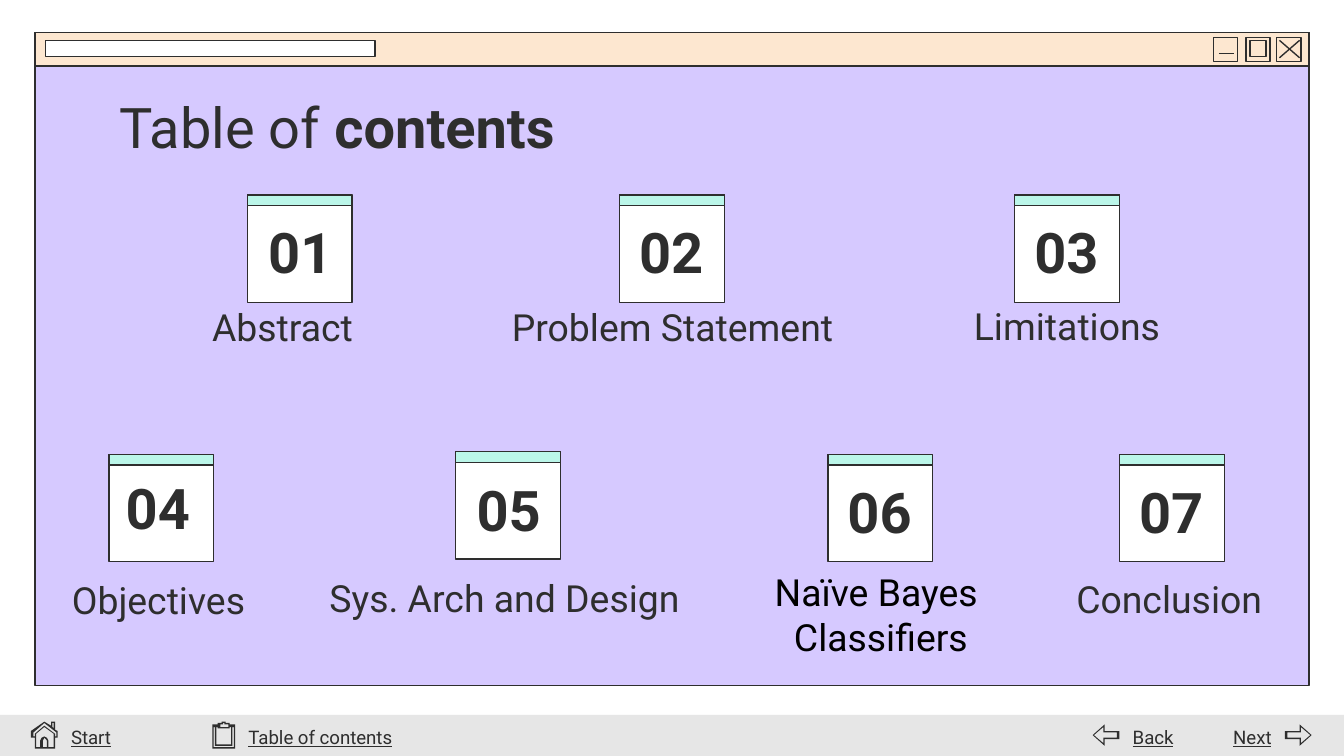
import pptx
import pptx.dml.color
import pptx.enum.shapes
import pptx.enum.text
import pptx.oxml
import pptx.util

Inches = pptx.util.Inches
Pt = pptx.util.Pt
LEFT, CENTER, RIGHT = (
    pptx.enum.text.PP_ALIGN.LEFT,
    pptx.enum.text.PP_ALIGN.CENTER,
    pptx.enum.text.PP_ALIGN.RIGHT,
)
TOP, BOTTOM = pptx.enum.text.MSO_ANCHOR.TOP, pptx.enum.text.MSO_ANCHOR.BOTTOM

SLIDE_WIDTH = 10
SLIDE_HEIGHT = SLIDE_WIDTH * 9 / 16

COLORS = {
    "ink": "2E2E2E", "black": "000000", "white": "FFFFFF", "lilac": "D6C9FF",
    "peach": "FDE7D0", "mint": "BBF6E9", "gray": "E6E6E6",
}
FONT = "Roboto"
FRAME_FORMAT = {
    "word_wrap": True,
    "auto_size": pptx.enum.text.MSO_AUTO_SIZE.NONE,
    "margin_left": Inches(0.1), "margin_right": Inches(0.1),
    "margin_top": Inches(0.1), "margin_bottom": Inches(0.1),
}

TITLE_BOX = (0.79, 0.59, 8.43, 0.69)
TITLE_RUNS = [("Table of ", False), ("contents", True)]

# Box (left, top, width, height), fill
WINDOW_PARTS = [
    ((0.26, 0.24, 9.48, 4.86), "lilac"),
    ((0.26, 0.24, 9.48, 0.25), "peach"),
    ((0.34, 0.3, 2.45, 0.12), "white"),
]
BUTTON_BOXES = [(left, 0.28, 0.18, 0.18) for left in (9.03, 9.27, 9.5)]
MAXIMIZE_BOX = (9.3, 0.3, 0.12, 0.12)
BUTTON_STROKES = [
    (9.07, 0.4, 9.18, 0.4),
    (9.52, 0.3, 9.67, 0.43),
    (9.52, 0.43, 9.67, 0.3),
]

CARD_SIZE = (0.78, 0.8)
BAND_HEIGHT = 0.08
NUMBER_SIZE = (0.93, 0.72)
# Number, card corner, number corner, label lines, label box, alignment, color
CARDS = [
    ("01", (1.84, 1.45), (1.77, 1.52), ["Abstract"],
     (1.48, 2.22, 1.54, 0.48), LEFT, "ink"),
    ("02", (4.61, 1.45), (4.53, 1.52), ["Problem Statement"],
     (3.51, 2.22, 2.99, 0.48), CENTER, "ink"),
    ("03", (7.55, 1.45), (7.47, 1.52), ["Limitations"],
     (6.66, 2.21, 2.56, 0.48), CENTER, "ink"),
    ("04", (0.81, 3.38), (0.71, 3.42), ["Objectives"],
     (-0.1, 4.25, 2.56, 0.48), CENTER, "ink"),
    ("05", (3.39, 3.36), (3.32, 3.44), ["Sys. Arch and Design"],
     (2.26, 4.23, 2.99, 0.48), CENTER, "ink"),
    ("06", (6.16, 3.38), (6.08, 3.45), ["Naïve Bayes ", "Classifiers"],
     (5.17, 4.31, 2.77, 0.69), CENTER, "black"),
    ("07", (8.33, 3.38), (8.25, 3.45), ["Conclusion"],
     (7.91, 4.24, 1.76, 0.48), LEFT, "ink"),
]

FOOTER_TOP = 5.32
FOOTER_BOX = (0, FOOTER_TOP, SLIDE_WIDTH, SLIDE_HEIGHT - FOOTER_TOP)
# Text, left, width, alignment
FOOTER_LINKS = [
    ("Start", 0.43, 0.78, LEFT),
    ("Table of contents", 1.75, 1.54, LEFT),
    ("Back", 8.33, 0.54, LEFT),
    ("Next", 9.02, 0.54, RIGHT),
]

# Each icon is a list of contours; inner contours cut holes.
HOUSE = [
    [(0.33, 5.37), (0.23, 5.44), (0.23, 5.49), (0.26, 5.49), (0.26, 5.57), (0.41, 5.57),
     (0.41, 5.49), (0.43, 5.49), (0.43, 5.44), (0.41, 5.43), (0.41, 5.37), (0.38, 5.37),
     (0.38, 5.4)],
    [(0.4, 5.38), (0.4, 5.42), (0.39, 5.41), (0.39, 5.38)],
    [(0.33, 5.38), (0.42, 5.45), (0.42, 5.48), (0.41, 5.48), (0.41, 5.46), (0.33, 5.4),
     (0.26, 5.46), (0.26, 5.48), (0.25, 5.48), (0.25, 5.45)],
    [(0.33, 5.49), (0.35, 5.51), (0.35, 5.56), (0.32, 5.56), (0.32, 5.51)],
    [(0.33, 5.41), (0.4, 5.46), (0.4, 5.56), (0.36, 5.56), (0.36, 5.51), (0.35, 5.49),
     (0.33, 5.48), (0.31, 5.49), (0.3, 5.51), (0.3, 5.56), (0.27, 5.56), (0.27, 5.46)],
]
CLIPBOARD = [
    [(1.65, 5.37), (1.65, 5.38), (1.62, 5.38), (1.62, 5.39), (1.58, 5.39), (1.58, 5.57),
     (1.75, 5.57), (1.75, 5.39), (1.71, 5.39), (1.71, 5.38), (1.68, 5.38), (1.68, 5.37)],
    [(1.67, 5.38), (1.67, 5.39), (1.7, 5.39), (1.7, 5.41), (1.64, 5.41), (1.64, 5.39),
     (1.66, 5.39), (1.66, 5.38)],
    [(1.72, 5.41), (1.72, 5.54), (1.61, 5.54), (1.61, 5.41), (1.62, 5.41), (1.62, 5.42),
     (1.71, 5.42), (1.71, 5.41)],
    [(1.74, 5.41), (1.74, 5.56), (1.59, 5.56), (1.59, 5.41), (1.6, 5.41), (1.6, 5.55),
     (1.73, 5.55), (1.73, 5.41)],
]
NEXT_ARROW = [
    [(9.67, 5.39), (9.67, 5.44), (9.56, 5.44), (9.56, 5.5), (9.67, 5.5), (9.67, 5.55),
     (9.76, 5.47)],
    [(9.68, 5.41), (9.75, 5.47), (9.68, 5.53), (9.68, 5.49), (9.58, 5.49), (9.58, 5.45),
     (9.68, 5.45)],
]
ARROW_MIRROR = 17.89
BACK_ARROW = [[(ARROW_MIRROR - x, y) for x, y in contour] for contour in NEXT_ARROW]


def rgb(name):
    return pptx.dml.color.RGBColor.from_string(COLORS[name])


def lengths(values):
    return [Inches(value) for value in values]


def add_rectangle(slide, box, fill=None, outlined=True):
    shape = slide.shapes.add_shape(pptx.enum.shapes.MSO_SHAPE.RECTANGLE, *lengths(box))
    shape.shadow.inherit = False
    if fill:
        shape.fill.solid()
        shape.fill.fore_color.rgb = rgb(fill)
    else:
        shape.fill.background()
    if outlined:
        shape.line.color.rgb = rgb("ink")
        shape.line.width = Pt(0.75)
    else:
        shape.line.fill.background()


def add_stroke(slide, ends):
    line = slide.shapes.add_connector(
        pptx.enum.shapes.MSO_CONNECTOR.STRAIGHT, *lengths(ends))
    line.line.color.rgb = rgb("ink")
    line.line.width = Pt(0.75)
    line._element.spPr.append(pptx.oxml.parse_xml(
        '<a:effectLst xmlns:a="http://schemas.openxmlformats.org/drawingml/2006/main"/>'))


def add_icon(slide, contours):
    first, *holes = [[lengths(point) for point in contour] for contour in contours]
    builder = slide.shapes.build_freeform(*first[0])
    builder.add_line_segments(first[1:])
    for hole in holes:
        builder.move_to(*hole[0])
        builder.add_line_segments(hole[1:])
    shape = builder.convert_to_shape()
    shape.shadow.inherit = False
    shape.fill.solid()
    shape.fill.fore_color.rgb = rgb("ink")
    shape.line.fill.background()


def write_text(shape, paragraphs, size, align=LEFT, anchor=TOP, color="ink", underline=False):
    """Fill a shape with paragraphs, each a list of (text, bold) runs."""
    frame = shape.text_frame
    for name, value in {**FRAME_FORMAT, "vertical_anchor": anchor}.items():
        setattr(frame, name, value)
    for index, runs in enumerate(paragraphs):
        paragraph = frame.add_paragraph() if index else frame.paragraphs[0]
        paragraph.alignment = align
        for text, bold in runs:
            run = paragraph.add_run()
            run.text = text
            font_format = {"name": FONT, "size": Pt(size), "bold": bold, "underline": underline}
            for name, value in font_format.items():
                setattr(run.font, name, value)
            run.font.color.rgb = rgb(color)


def add_text(slide, box, paragraphs, size, **options):
    write_text(slide.shapes.add_textbox(*lengths(box)), paragraphs, size, **options)


def main():
    presentation = pptx.Presentation()
    presentation.slide_width, presentation.slide_height = lengths((SLIDE_WIDTH, SLIDE_HEIGHT))
    slide = presentation.slides.add_slide(presentation.slide_layouts[5])

    for box, fill in WINDOW_PARTS:
        add_rectangle(slide, box, fill)
    for box in BUTTON_BOXES + [MAXIMIZE_BOX]:
        add_rectangle(slide, box)
    for ends in BUTTON_STROKES:
        add_stroke(slide, ends)
    add_rectangle(slide, FOOTER_BOX, "gray", outlined=False)

    title = slide.shapes.title
    title.left, title.top, title.width, title.height = lengths(TITLE_BOX)
    write_text(title, [TITLE_RUNS], 30)
    slide.shapes._spTree.append(title._element)

    for number, corner, number_corner, label, label_box, align, color in CARDS:
        add_rectangle(slide, corner + CARD_SIZE, "white")
        add_rectangle(slide, corner + (CARD_SIZE[0], BAND_HEIGHT), "mint")
        add_text(slide, number_corner + NUMBER_SIZE, [[(number, True)]], 30, align=CENTER)
        add_text(slide, label_box, [[(line, False)] for line in label], 20,
                 align=align, anchor=BOTTOM, color=color)

    for contours in (HOUSE, CLIPBOARD, BACK_ARROW, NEXT_ARROW):
        add_icon(slide, contours)
    for text, left, width, align in FOOTER_LINKS:
        add_text(slide, (left, 5.3, width, 0.35), [[(text, False)]], 10,
                 align=align, underline=True)

    presentation.save("out.pptx")


if __name__ == "__main__":
    main()
